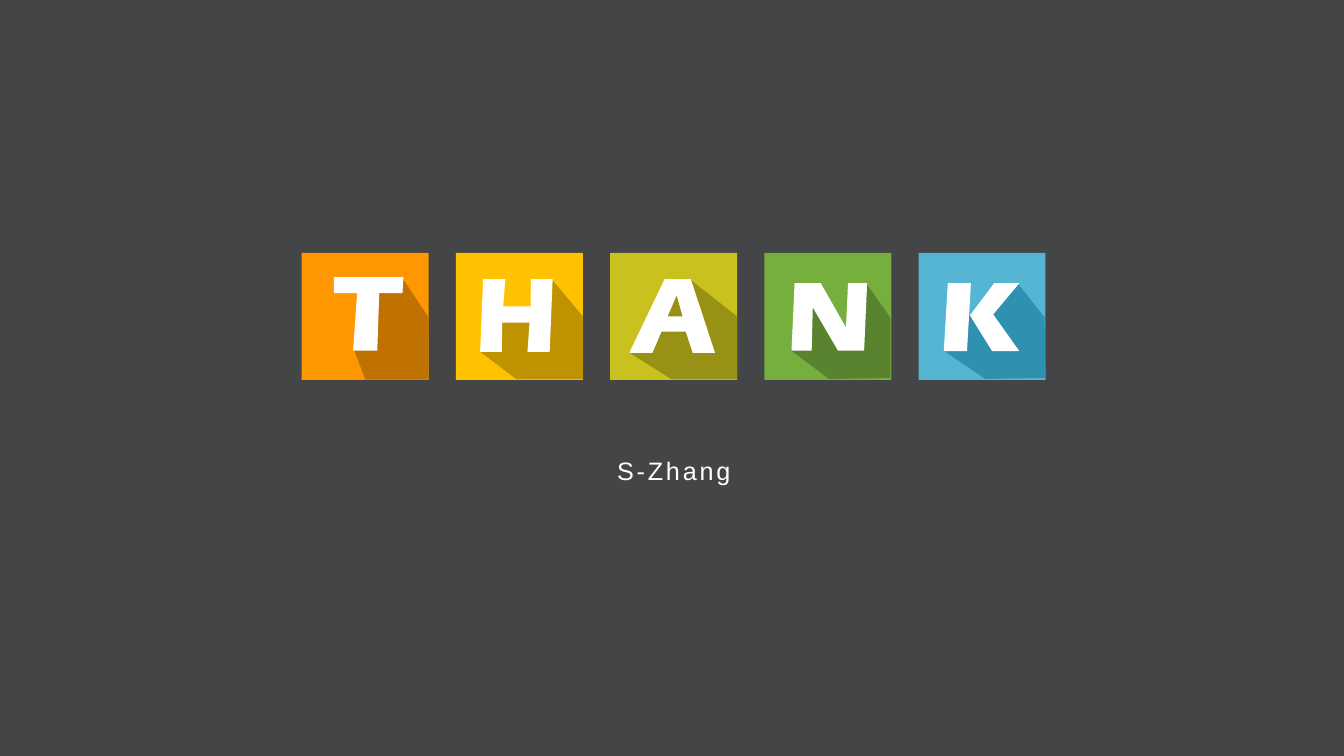
import pptx
import pptx.dml.color
import pptx.enum.shapes
import pptx.enum.text
import pptx.util

Pt = pptx.util.Pt

TILE_SIZE = 90.7
TILE_PITCH = 110.16

LETTERS = [
    {
        "tile": "FF9800",
        "shade": "BF7200",
        "shadow": [[(37.4, 69.1), (45.4, 90.4), (90.4, 90.4), (90.7, 46.1), (72, 18), (47.5, 28.1)]],
        "face": [[(23, 17.3), (72.7, 17.3), (72, 28.8), (55.4, 28.8),
                  (54, 69.8), (36.7, 69.8), (39.6, 28.8), (23, 28.8)]],
    },
    {
        "tile": "FFC200",
        "shade": "BF9200",
        "shadow": [[(17.3, 70.6), (43.2, 90.2), (90.7, 90.2), (90.7, 45.4),
                    (68.4, 18.7), (56.9, 38.9), (22.3, 52.6)]],
        "face": [[(19.4, 18.7), (35.3, 18.7), (33.8, 38.2), (53.3, 38.2),
                  (53.6, 18.7), (69.1, 18.7), (67, 70.6), (51.1, 70.6),
                  (52.6, 49.7), (33.1, 49.7), (32.8, 70.6), (17.3, 70.6)]],
    },
    {
        "tile": "C9C11D",
        "shade": "979116",
        "shadow": [[(13.7, 71.3), (43.9, 90.2), (90.7, 90.2), (90.7, 45.4), (56.9, 18.7)]],
        "face": [[(38.9, 18.7), (57.6, 18.7), (74.9, 71.3), (59, 71.3),
                  (54, 56.2), (36.7, 56.2), (30.2, 71.3), (13.7, 71.3)],
                 [(47.5, 30.2), (41, 45.4), (51.8, 45.4)]],
    },
    {
        "tile": "77AF3F",
        "shade": "59832F",
        "shadow": [[(19.4, 69.8), (46.1, 90), (90, 89.3), (90, 46.1),
                    (72.7, 21.6), (61.2, 63.4), (33.8, 29.5)]],
        "face": [[(21.6, 21.6), (40.3, 21.6), (58.3, 53.3), (59.8, 21.6), (73.4, 21.6),
                  (71.3, 69.8), (52.6, 69.8), (34.6, 38.9), (33.8, 69.8), (19.4, 69.8)]],
    },
    {
        "tile": "55B5D3",
        "shade": "2E91B0",
        "shadow": [[(18, 69.8), (47.5, 90), (90.7, 89.3), (90, 46.1), (71.3, 22.3), (27.4, 50.4)]],
        "face": [[(20.9, 21.6), (37.4, 21.6), (34.6, 70.2), (18, 70.2)],
                 [(54, 21.6), (72, 21.6), (53.3, 43.9), (72, 70.2), (52.6, 70.2), (36.7, 44.6)]],
    },
]


def paint(fill, color):
    fill.solid()
    fill.fore_color.rgb = pptx.dml.color.RGBColor.from_string(color)


def apply_format(target, values):
    for attribute, value in values.items():
        setattr(target, attribute, value)


def finish(shape, color):
    paint(shape.fill, color)
    shape.line.fill.background()
    shape.shadow.inherit = False


def add_outline(slide, left, top, contours, color):
    placed = [[(Pt(left + x), Pt(top + y)) for x, y in contour] for contour in contours]
    builder = slide.shapes.build_freeform(*placed[0][0])
    for contour in placed:
        if contour is not placed[0]:
            builder.move_to(*contour[0])
        builder.add_line_segments(contour[1:], close=True)
    finish(builder.convert_to_shape(), color)


def add_letter_tile(slide, left, top, letter):
    tile = slide.shapes.add_shape(
        pptx.enum.shapes.MSO_SHAPE.RECTANGLE, Pt(left), Pt(top), Pt(TILE_SIZE), Pt(TILE_SIZE))
    finish(tile, letter["tile"])
    add_outline(slide, left, top, letter["shadow"], letter["shade"])
    add_outline(slide, left, top, letter["face"], "FFFFFF")


def add_thank_row(slide, left, top):
    for index, letter in enumerate(LETTERS):
        add_letter_tile(slide, left + index * TILE_PITCH, top, letter)


def add_presenter(slide, left, top, width, height):
    presenter = slide.placeholders[1]
    apply_format(presenter, {
        "left": Pt(left), "top": Pt(top), "width": Pt(width), "height": Pt(height)})
    apply_format(presenter.text_frame, {
        "text": "S-Zhang", "word_wrap": True,
        "vertical_anchor": pptx.enum.text.MSO_ANCHOR.MIDDLE})
    paragraph = presenter.text_frame.paragraphs[0]
    apply_format(paragraph, {
        "alignment": pptx.enum.text.PP_ALIGN.CENTER,
        "line_spacing": 1.1, "space_before": Pt(13.5)})
    run = paragraph.runs[0]
    apply_format(run.font, {"name": "Arial", "size": Pt(18)})
    paint(run.font.fill, "FFFFFF")
    run.font._element.set("spc", "200")


def build_closing_slide(presentation):
    slide = presentation.slides.add_slide(presentation.slide_layouts[2])
    paint(slide.background.fill, "434547")
    title = slide.shapes.title.element
    title.getparent().remove(title)
    add_thank_row(slide, 215.5, 180.7)
    add_presenter(slide, 216, 316, 530.6, 38)


def main():
    presentation = pptx.Presentation()
    apply_format(presentation, {"slide_width": Pt(960), "slide_height": Pt(540)})
    build_closing_slide(presentation)
    presentation.save("out.pptx")


if __name__ == "__main__":
    main()
